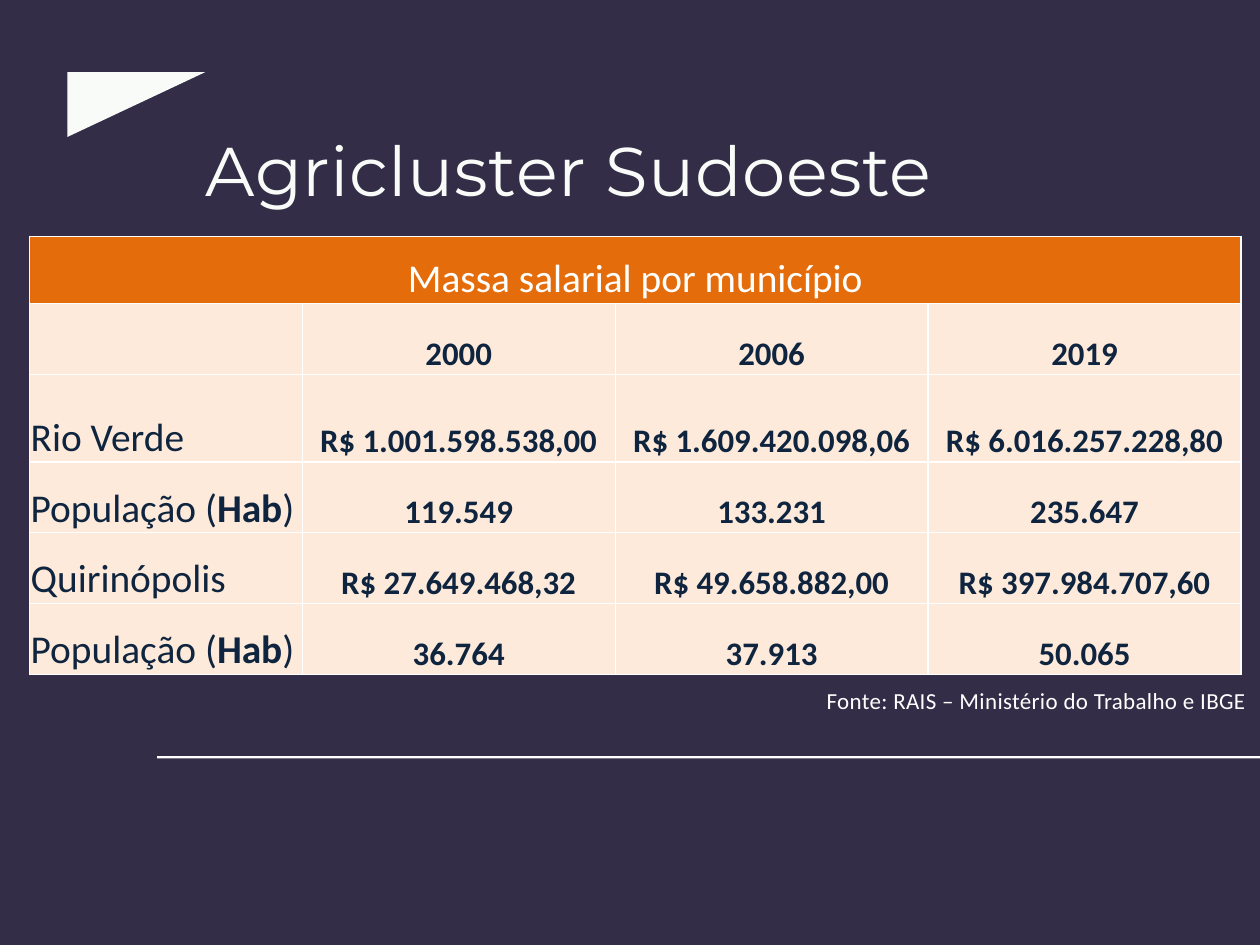
import dataclasses

import lxml.etree
import pptx
import pptx.dml.color
import pptx.enum.shapes
import pptx.enum.text
import pptx.oxml.ns
import pptx.util

Inches = pptx.util.Inches
Pt = pptx.util.Pt
Align = pptx.enum.text.PP_ALIGN


@dataclasses.dataclass(frozen=True)
class Theme:
    background: str = "342D47"
    accent: str = "F8FBF8"
    white: str = "FFFFFF"
    header_fill: str = "E46C0A"
    body_fill: str = "FDEADA"
    body_text: str = "0F243E"
    heading_font: str = "Montserrat"
    body_font: str = "Calibri"
    heading_size: int = 42
    label_size: int = 24
    value_size: int = 20
    source_size: int = 14


THEME = Theme()

COLUMN_WIDTHS = [2.31, 2.65, 2.65, 2.65]
ROW_HEIGHTS = [0.57, 0.6, 0.74, 0.6, 0.6, 0.6]
TABLE_TITLE = "Massa salarial por município"
YEARS = ["2000", "2006", "2019"]
POPULATION = [("População (", False), ("Hab", True), (")", False)]
ROWS = [
    ([], YEARS),
    ([("Rio Verde", False)],
     ["R$ 1.001.598.538,00", "R$ 1.609.420.098,06", "R$ 6.016.257.228,80"]),
    (POPULATION, ["119.549", "133.231", "235.647"]),
    ([("Quirinópolis", False)],
     ["R$ 27.649.468,32", "R$ 49.658.882,00", "R$ 397.984.707,60"]),
    (POPULATION, ["36.764", "37.913", "50.065"]),
]


def rgb(value):
    return pptx.dml.color.RGBColor.from_string(value)


def paint(shape, color):
    """Give a shape a plain fill with no outline or shadow."""
    shape.fill.solid()
    shape.fill.fore_color.rgb = rgb(color)
    shape.line.fill.background()
    shape.shadow.inherit = False


def add_span(para, text, size, color, font=THEME.body_font, bold=False, spacing=0):
    span = para.add_run()
    span.text = text
    span.font.name = font
    span.font.size = Pt(size)
    span.font.bold = bold
    span.font.color.rgb = rgb(color)
    if spacing:
        span._r.get_or_add_rPr().set("spc", str(round(spacing * 100)))


def add_line(page, left, top, width, height, text, line_height, **style):
    """Add a text box without margins that holds one line."""
    box = page.shapes.add_textbox(Inches(left), Inches(top), Inches(width), Inches(height))
    frame = box.text_frame
    frame.word_wrap = True
    frame.margin_left = frame.margin_right = frame.margin_top = frame.margin_bottom = 0
    para = frame.paragraphs[0]
    para.line_spacing = Pt(line_height)
    add_span(para, text, **style)


def add_heading(page, left, top, width, height):
    """Place the corner wedge and, to its lower right, the title."""
    wedge_width, wedge_height = 1.17, 0.55
    outline = page.shapes.build_freeform(Inches(left), Inches(top + wedge_height))
    outline.add_line_segments([
        (Inches(left), Inches(top)),
        (Inches(left + wedge_width), Inches(top)),
    ])
    paint(outline.convert_to_shape(), THEME.accent)
    add_line(page, left + wedge_width, top + 0.44, width - wedge_width, height - 0.44,
             "Agricluster Sudoeste", 52.9, size=THEME.heading_size,
             color=THEME.accent, font=THEME.heading_font, spacing=0.4)


def style_cell(cell, fill):
    properties = cell._tc.get_or_add_tcPr()
    for side in ("a:lnL", "a:lnR", "a:lnT", "a:lnB"):
        border = lxml.etree.SubElement(properties, pptx.oxml.ns.qn(side), w=str(Pt(1)))
        solid = lxml.etree.SubElement(border, pptx.oxml.ns.qn("a:solidFill"))
        lxml.etree.SubElement(solid, pptx.oxml.ns.qn("a:srgbClr"), val=THEME.white)
    cell.fill.solid()
    cell.fill.fore_color.rgb = rgb(fill)
    cell.vertical_anchor = pptx.enum.text.MSO_ANCHOR.BOTTOM
    cell.margin_left = cell.margin_right = cell.margin_top = Inches(0.01)
    cell.margin_bottom = 0


def add_wage_table(page, left, top, width, height):
    table = page.shapes.add_table(
        len(ROW_HEIGHTS), len(COLUMN_WIDTHS),
        Inches(left), Inches(top), Inches(width), Inches(height)).table
    for column, column_width in zip(table.columns, COLUMN_WIDTHS):
        column.width = Inches(column_width)
    for row, row_height in zip(table.rows, ROW_HEIGHTS):
        row.height = Inches(row_height)
    for index, row in enumerate(table.rows):
        for cell in row.cells:
            style_cell(cell, THEME.body_fill if index else THEME.header_fill)

    title = table.cell(0, 0)
    title.merge(table.cell(0, len(COLUMN_WIDTHS) - 1))
    para = title.text_frame.paragraphs[0]
    para.alignment = Align.CENTER
    add_span(para, TABLE_TITLE, THEME.label_size, THEME.white)

    for index, (label, values) in enumerate(ROWS, start=1):
        para = table.cell(index, 0).text_frame.paragraphs[0]
        for text, bold in label:
            add_span(para, text, THEME.label_size, THEME.body_text, bold=bold)
        for column, value in enumerate(values, start=1):
            para = table.cell(index, column).text_frame.paragraphs[0]
            para.alignment = Align.CENTER
            add_span(para, value, THEME.value_size, THEME.body_text, bold=True)


def add_footer(page, left, top, width, height):
    """Place the source note at the right and the rule along the bottom."""
    add_line(page, left + 5.67, top, width - 5.67, 0.33,
             "Fonte: RAIS – Ministério do Trabalho e IBGE", 24,
             size=THEME.source_size, color=THEME.white, spacing=0.2)
    rule_height = 0.02
    rule = page.shapes.add_shape(
        pptx.enum.shapes.MSO_SHAPE.RECTANGLE, Inches(left),
        Inches(top + height - rule_height), Inches(width), Inches(rule_height))
    paint(rule, THEME.white)


def main():
    deck = pptx.Presentation()
    deck.slide_width = Inches(10.67)
    deck.slide_height = Inches(8)
    page = deck.slides.add_slide(deck.slide_layouts[6])
    page.background.fill.solid()
    page.background.fill.fore_color.rgb = rgb(THEME.background)
    add_heading(page, 0.57, 0.61, 8.18, 1.11)
    add_footer(page, 1.33, 5.71, 9.34, 0.71)
    add_wage_table(page, 0.25, 2, sum(COLUMN_WIDTHS), sum(ROW_HEIGHTS))
    deck.save("out.pptx")


if __name__ == "__main__":
    main()
